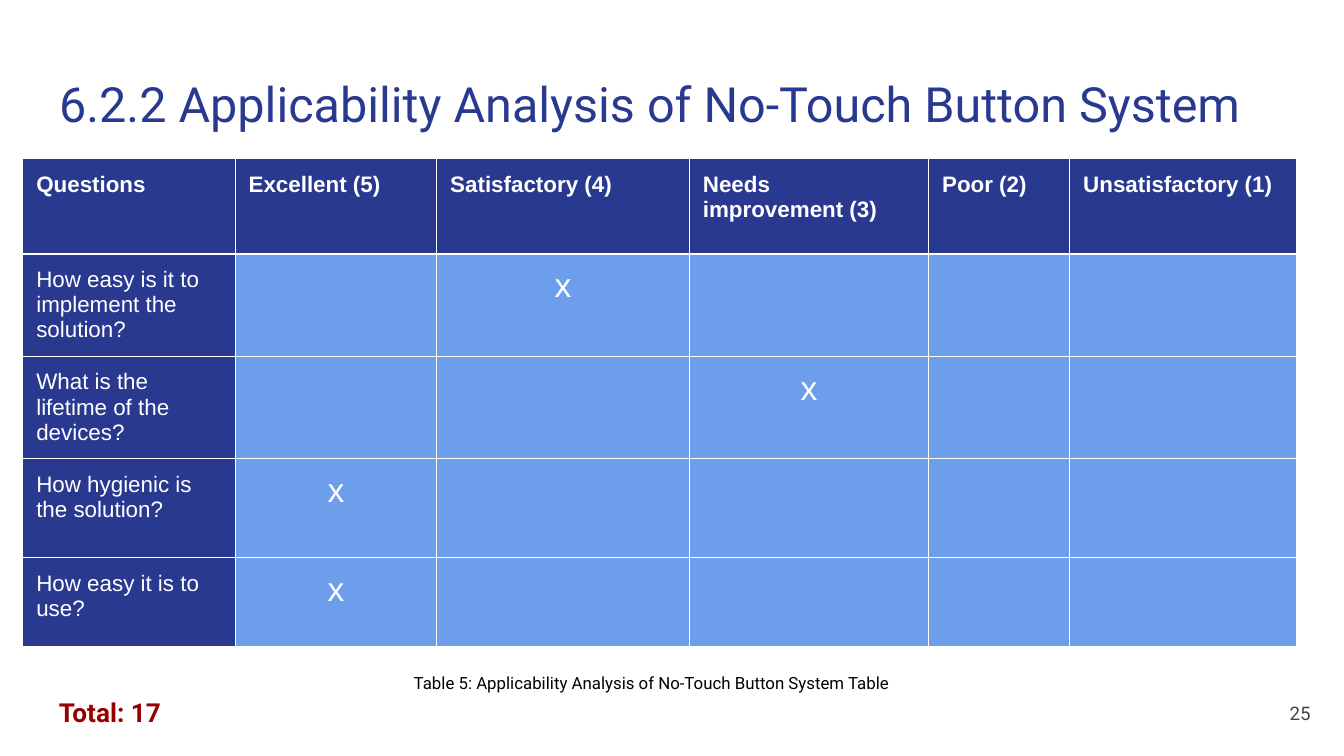
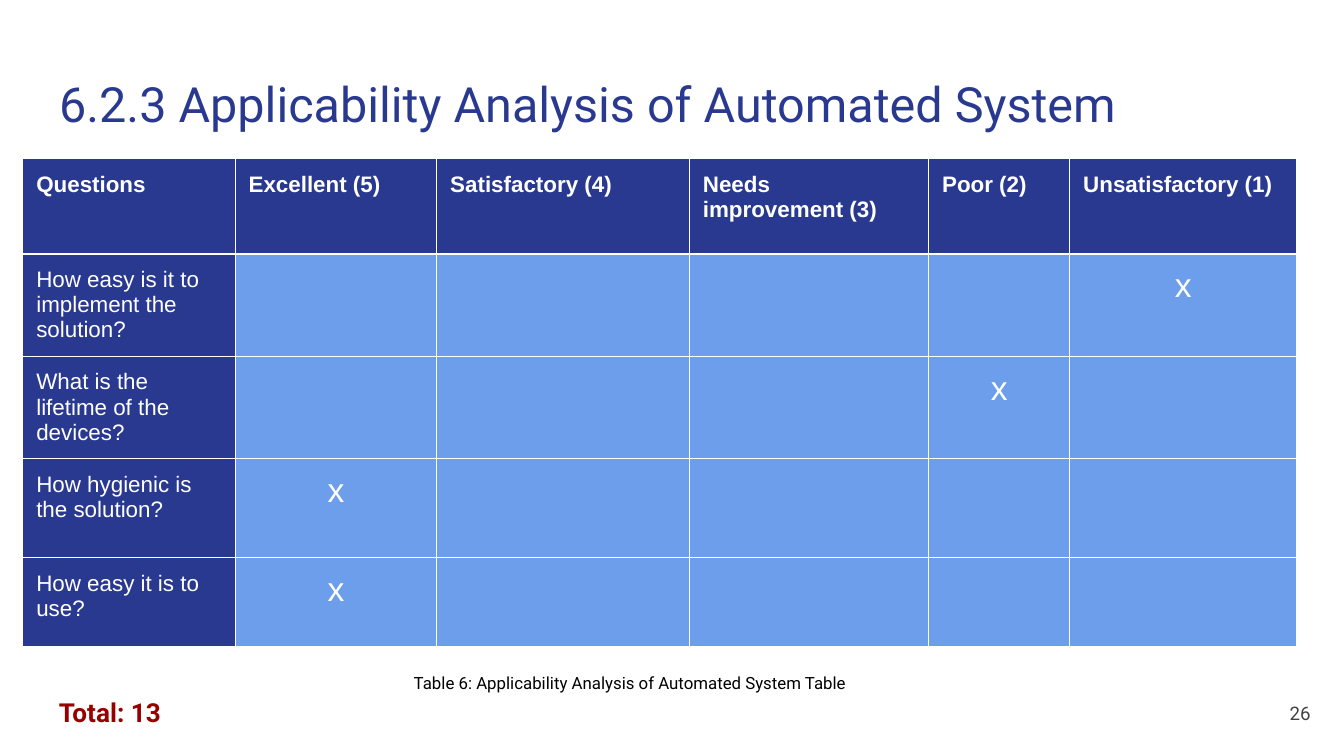
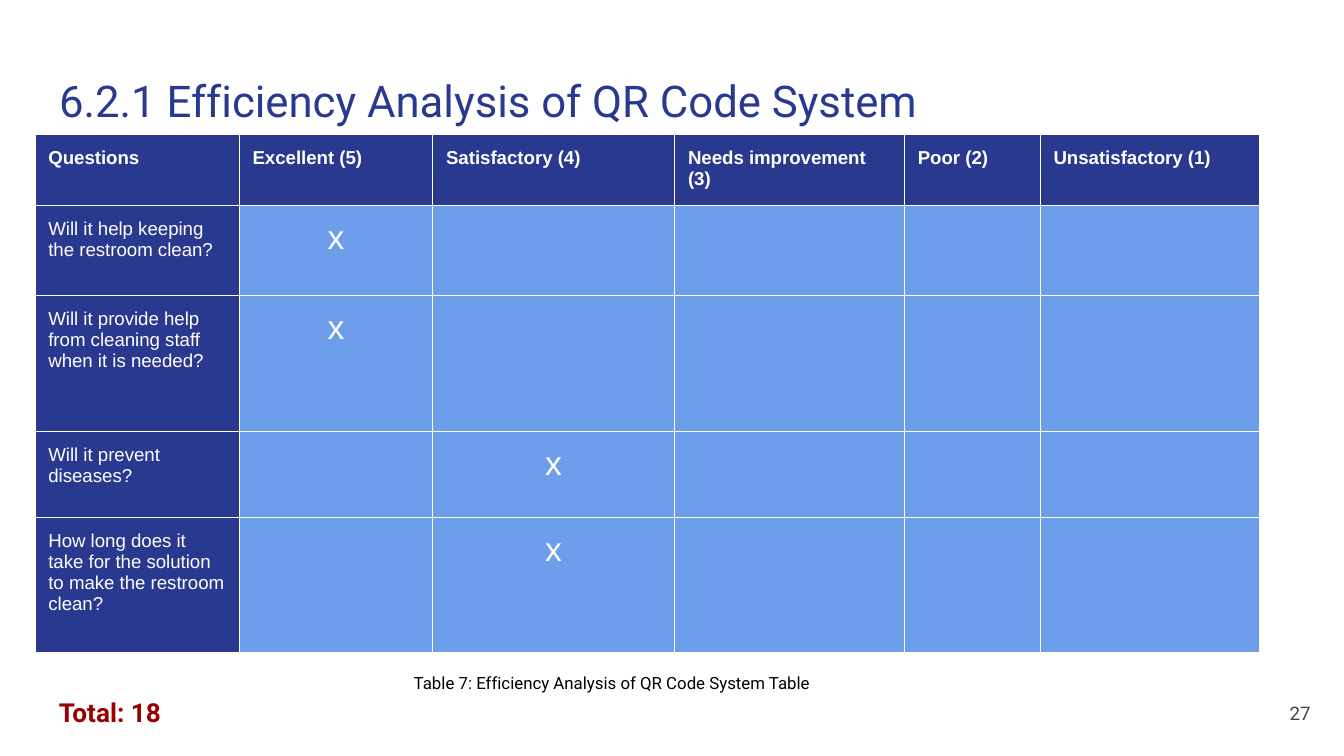
from dataclasses import dataclass

from lxml.etree import SubElement
from pptx import Presentation
from pptx.dml.color import RGBColor
from pptx.enum.lang import MSO_LANGUAGE_ID
from pptx.enum.text import MSO_ANCHOR, MSO_AUTO_SIZE, PP_ALIGN
from pptx.oxml.ns import qn
from pptx.util import Inches, Pt


@dataclass(frozen=True)
class Theme:
    navy: str = "2A3990"
    sky: str = "6D9EEB"
    white: str = "FFFFFF"
    cream: str = "FFFCF2"
    red: str = "980000"
    grey: str = "434343"
    black: str = "000000"
    heading: str = "Roboto"
    body: str = "Arial"
    title: float = 26
    small_title: float = 23.4
    total: float = 14
    number: float = 10
    caption: float = 9
    mark: float = 18
    border: float = 0.75
    inset: float = 0.1


T = Theme()

HEADERS = ["Questions", "Excellent (5)", "Satisfactory (4)",
           "Needs improvement (3)", "Poor (2)", "Unsatisfactory (1)"]
BEST_SCORE = 5
FIRST_PAGE = 25
FIRST_TABLE = 5

APPLICABILITY = {
    "questions": ["How easy is it to implement the solution?",
                  "What is the lifetime of the devices?",
                  "How hygienic is the solution?",
                  "How easy it is to use?"],
    "origin": (0.17, 1.18),
    "cols": [1.58, 1.5, 1.88, 1.78, 1.05, 1.69],
    "rows": [0.71, 0.76, 0.76, 0.74, 0.66],
    "size": 12,
    "title_size": T.title,
    "border": T.white,
}
EFFICIENCY = {
    "questions": ["Will it help keeping the restroom clean?",
                  "Will it provide help from cleaning staff when it is needed?",
                  "Will it prevent diseases?",
                  "How long does it take for the solution to make the restroom clean?"],
    "origin": (0.26, 1),
    "cols": [1.52, 1.44, 1.8, 1.71, 1.01, 1.63],
    "rows": [0.53, 0.67, 1.01, 0.64, 1.01],
    "size": 10,
    "title_size": T.small_title,
    "border": T.cream,
}

ANALYSES = [
    ("6.2.2", "Applicability Analysis of No-Touch Button System", APPLICABILITY, [4, 3, 5, 5]),
    ("6.2.3", "Applicability Analysis of Automated System", APPLICABILITY, [1, 2, 5, 5]),
    ("6.2.1", "Efficiency Analysis of QR Code System", EFFICIENCY, [5, 5, 4, 4]),
]

TITLE_BOX = (0.34, 0.45, 9.32, 0.66)
NUMBER_BOX = (9.25, 5.09, 0.6, 0.43)
TOTAL_BOX = (0.34, 5.08, 2.33, 0.44)
CAPTION_BOX = (2.98, 4.93, 4.31, 0.35)


def write(tf, text, size, color, font=T.heading, bold=False, align=PP_ALIGN.LEFT):
    tf.text = text
    p = tf.paragraphs[0]
    p.alignment = align
    r = p.runs[0]
    r.font.name = font
    r.font.size = Pt(size)
    r.font.bold = bold
    r.font.language_id = MSO_LANGUAGE_ID.TURKISH
    r.font.color.rgb = RGBColor.from_string(color)


def frame(sp, anchor=MSO_ANCHOR.TOP, auto_size=MSO_AUTO_SIZE.NONE):
    tf = sp.text_frame
    tf.word_wrap = True
    tf.auto_size = auto_size
    tf.vertical_anchor = anchor
    tf.margin_left = tf.margin_top = tf.margin_right = tf.margin_bottom = Inches(T.inset)
    return tf


def add_text(s, box, text, size, color, bold=False, align=PP_ALIGN.LEFT, **layout):
    sp = s.shapes.add_textbox(*map(Inches, box))
    write(frame(sp, **layout), text, size, color, bold=bold, align=align)


def set_title(s, text, size):
    sp = s.shapes.title
    sp.left, sp.top, sp.width, sp.height = map(Inches, TITLE_BOX)
    write(frame(sp), text, size, T.navy)


def style_cell(cell, fill, border):
    cell.margin_left = cell.margin_top = cell.margin_right = cell.margin_bottom = Inches(T.inset)
    tcPr = cell._tc.get_or_add_tcPr()
    for side in ("a:lnL", "a:lnR", "a:lnT", "a:lnB"):
        ln = SubElement(tcPr, qn(side), w=str(Pt(T.border)))
        SubElement(SubElement(ln, qn("a:solidFill")), qn("a:srgbClr"), val=border)
    cell.fill.solid()
    cell.fill.fore_color.rgb = RGBColor.from_string(fill)


def add_score_table(s, form, scores):
    cols, rows = form["cols"], form["rows"]
    box = (*form["origin"], sum(cols), sum(rows))
    table = s.shapes.add_table(len(rows), len(cols), *map(Inches, box)).table
    table.horz_banding = False
    for col, width in zip(table.columns, cols):
        col.width = Inches(width)
    for row, height in zip(table.rows, rows):
        row.height = Inches(height)

    marks = [[("x" if score == BEST_SCORE - i else "") for i in range(BEST_SCORE)]
             for score in scores]
    grid = [HEADERS] + [[q, *m] for q, m in zip(form["questions"], marks)]
    for i, line in enumerate(grid):
        for j, text in enumerate(line):
            cell = table.cell(i, j)
            label = i == 0 or j == 0
            style_cell(cell, T.navy if label else T.sky, form["border"])
            if text:
                write(cell.text_frame, text, form["size"] if label else T.mark, T.white,
                      T.body, i == 0, PP_ALIGN.LEFT if label else PP_ALIGN.CENTER)


def main():
    prs = Presentation()
    prs.slide_width = Inches(10)
    prs.slide_height = prs.slide_width * 9 // 16
    for i, (section, subject, form, scores) in enumerate(ANALYSES):
        s = prs.slides.add_slide(prs.slide_layouts[5])
        set_title(s, f"{section} {subject}", form["title_size"])
        add_text(s, NUMBER_BOX, str(FIRST_PAGE + i), T.number, T.grey,
                 align=PP_ALIGN.RIGHT, anchor=MSO_ANCHOR.MIDDLE)
        add_score_table(s, form, scores)
        add_text(s, TOTAL_BOX, f"Total: {sum(scores)}", T.total, T.red, bold=True,
                 auto_size=MSO_AUTO_SIZE.SHAPE_TO_FIT_TEXT)
        add_text(s, CAPTION_BOX, f"Table {FIRST_TABLE + i}: {subject} Table", T.caption, T.black,
                 auto_size=MSO_AUTO_SIZE.SHAPE_TO_FIT_TEXT)
    prs.save("out.pptx")


if __name__ == "__main__":
    main()
